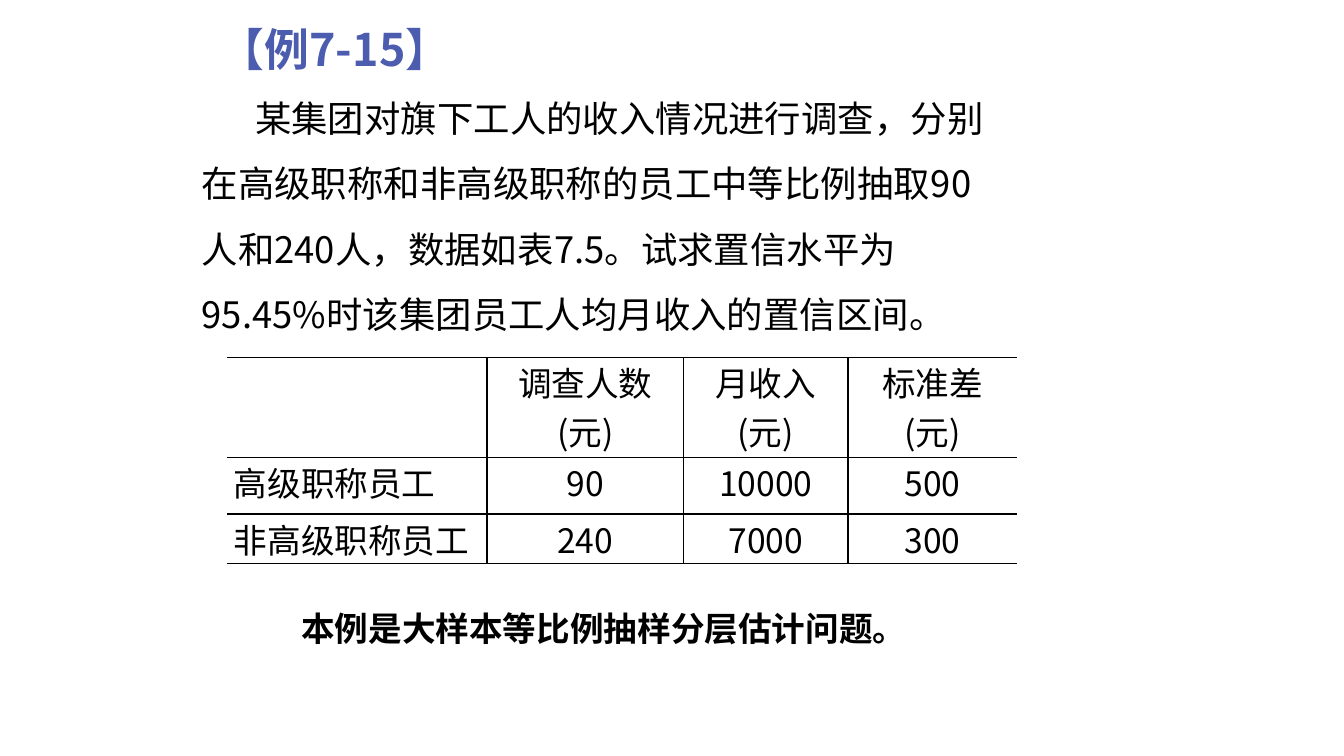
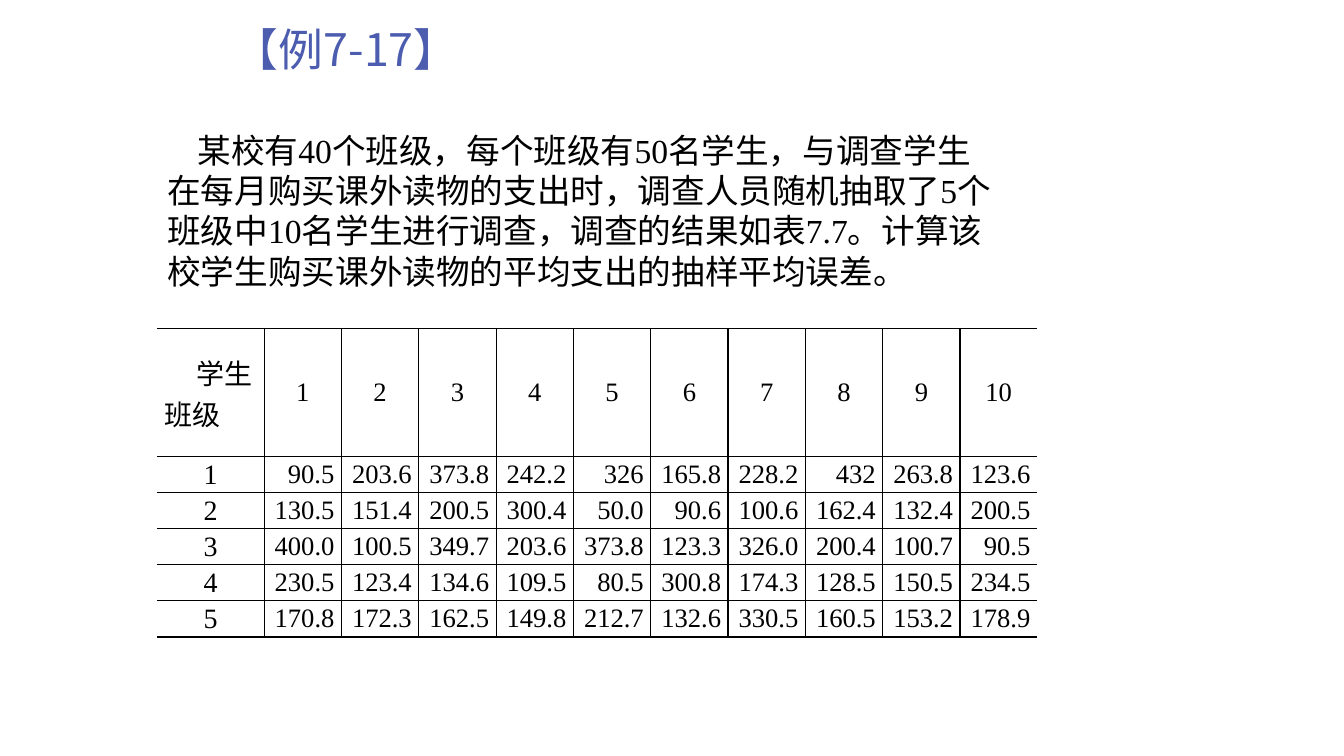
from dataclasses import dataclass

from lxml.etree import SubElement
from pptx import Presentation
from pptx.dml.color import RGBColor
from pptx.enum.text import MSO_ANCHOR as Anchor
from pptx.enum.text import MSO_AUTO_SIZE as AutoSize
from pptx.enum.text import PP_ALIGN as Align
from pptx.oxml.ns import qn
from pptx.util import Inches, Pt

SLIDE_WIDTH, SLIDE_HEIGHT = Inches(13.33), Inches(7.5)
UNIT = Inches(0.1)  # one column or row of the layout grid
SANS, SERIF = "Noto Sans CJK SC", "Times New Roman"
INK, ACCENT = "000000", "4C5CAF"
TITLE_AND_BODY = 1


@dataclass(frozen=True)
class Box:
    """A place on the layout grid, in columns and rows."""
    left: float
    top: float
    width: float
    height: float


@dataclass(frozen=True)
class Style:
    size: float
    font: str = SANS
    color: str = INK
    bold: bool = False


@dataclass(frozen=True)
class Statement:
    box: Box
    runs: tuple[tuple[str, Style], ...]
    line_points: float
    first_indent: float = 0


@dataclass(frozen=True)
class TableLook:
    box: Box
    columns: tuple[float, ...]
    rows: tuple[float, ...]
    corner: Style
    header: Style
    label: Style
    value: Style
    label_align: Align
    value_align: Align
    anchor: Anchor
    corner_indent: float = 0


@dataclass(frozen=True)
class Example:
    title: str
    title_box: Box
    title_style: Style
    statement: Statement
    table_look: TableLook
    cells: tuple[tuple[str, ...], ...]
    remark: Statement | None = None


def grid(count: float) -> int:
    return round(count * UNIT)


def rgb(color: str) -> RGBColor:
    return RGBColor.from_string(color)


def place(shape, box: Box) -> None:
    shape.left, shape.top = grid(box.left), grid(box.top)
    shape.width, shape.height = grid(box.width), grid(box.height)


def style_run(run, style: Style) -> None:
    font = run.font
    font.size, font.name, font.bold = Pt(style.size), style.font, style.bold
    font.color.rgb = rgb(style.color)
    east_asian = SubElement(run.font._element, qn("a:ea"))
    east_asian.set("typeface", SANS)


def indent_first_line(paragraph, indent: float) -> None:
    properties = paragraph._p.get_or_add_pPr()
    properties.set("marL", "0")
    properties.set("indent", str(grid(indent)))


def add_title(slide, example: Example) -> None:
    title = slide.shapes.title
    place(title, example.title_box)
    frame = title.text_frame
    frame.text = example.title
    frame.auto_size, frame.vertical_anchor = AutoSize.NONE, Anchor.MIDDLE
    frame.margin_left = frame.margin_right = 0
    frame.margin_top = frame.margin_bottom = 0
    paragraph = frame.paragraphs[0]
    paragraph.alignment = Align.LEFT
    style_run(paragraph.runs[0], example.title_style)


def write_statement(shape, statement: Statement, anchor: Anchor) -> None:
    place(shape, statement.box)
    frame = shape.text_frame
    frame.word_wrap, frame.auto_size = True, AutoSize.NONE
    frame.vertical_anchor = anchor
    paragraph = frame.paragraphs[0]
    indent_first_line(paragraph, statement.first_indent)
    SubElement(paragraph._p.get_or_add_pPr(), qn("a:buNone"))
    paragraph.alignment = Align.LEFT
    paragraph.space_before = Pt(0)
    paragraph.line_spacing = Pt(statement.line_points)
    for text, style in statement.runs:
        run = paragraph.add_run()
        run.text = text
        style_run(run, style)


def draw_borders(cell, open_sides: set[str]) -> None:
    """Rule every side of the cell except the open ones."""
    properties = cell._tc.get_or_add_tcPr()
    for side in ("lnL", "lnR", "lnT", "lnB"):
        line = SubElement(properties, qn(f"a:{side}"), w=str(Pt(1)))
        if side in open_sides:
            SubElement(line, qn("a:noFill"))
        else:
            fill = SubElement(line, qn("a:solidFill"))
            SubElement(fill, qn("a:srgbClr"), val=INK)


def cell_format(look: TableLook, row: int, column: int) -> tuple[Style, Align]:
    if row == 0:
        return (look.header, Align.CENTER) if column else (look.corner, Align.LEFT)
    if column == 0:
        return look.label, look.label_align
    return look.value, look.value_align


def add_data_table(slide, look: TableLook, cells: tuple[tuple[str, ...], ...]) -> None:
    box = look.box
    table = slide.shapes.add_table(
        len(look.rows), len(look.columns),
        grid(box.left), grid(box.top), grid(box.width), grid(box.height),
    ).table
    table.first_row = table.horz_banding = False
    for column, width in zip(table.columns, look.columns):
        column.width = grid(width)
    for row, height in zip(table.rows, look.rows):
        row.height = grid(height)
    last_column = len(look.columns) - 1
    for row_index, texts in enumerate(cells):
        for column_index, text in enumerate(texts):
            cell = table.cell(row_index, column_index)
            cell.margin_left = cell.margin_right = grid(0.7)
            cell.margin_top = cell.margin_bottom = 0
            cell.vertical_anchor = look.anchor
            open_sides = {side for side, edge in (("lnL", 0), ("lnR", last_column))
                          if column_index == edge}
            draw_borders(cell, open_sides)
            cell.fill.background()
            style, alignment = cell_format(look, row_index, column_index)
            cell.text_frame.text = text
            for paragraph in cell.text_frame.paragraphs:
                paragraph.alignment = alignment
                for run in paragraph.runs:
                    style_run(run, style)
    if look.corner_indent:
        indent_first_line(table.cell(0, 0).text_frame.paragraphs[0], look.corner_indent)


def add_example(presentation, example: Example) -> None:
    slide = presentation.slides.add_slide(presentation.slide_layouts[TITLE_AND_BODY])
    add_title(slide, example)
    add_data_table(slide, example.table_look, example.cells)
    write_statement(slide.placeholders[1], example.statement, Anchor.MIDDLE)
    if example.remark:
        remark_box = slide.shapes.add_textbox(0, 0, UNIT, UNIT)
        write_statement(remark_box, example.remark, Anchor.TOP)


SANS_24, SERIF_24 = Style(24), Style(24, SERIF)
SERIF_20, SERIF_19 = Style(20, SERIF), Style(19, SERIF)

INCOME_EXAMPLE = Example(
    title="【例7-15】",
    title_box=Box(21.8, 1.5, 95.9, 6.7),
    title_style=Style(32, color=ACCENT, bold=True),
    statement=Statement(
        Box(19, 6.7, 81.8, 27.3),
        (("某集团对旗下工人的收入情况进行调查，分别在高级职称和非高级职称的员工中"
          "等比例抽取90人和240人，数据如表7.5。试求置信水平为95.45%时该集团员工"
          "人均月收入的置信区间。", Style(26)),),
        line_points=46.6, first_indent=5.3),
    table_look=TableLook(
        Box(22.5, 35.5, 78.4, 20.4),
        columns=(25.8, 19.5, 16.3, 16.8), rows=(9.9, 5.6, 4.9),
        corner=SANS_24, header=SANS_24, label=SANS_24, value=SANS_24,
        label_align=Align.JUSTIFY, value_align=Align.CENTER, anchor=Anchor.TOP),
    cells=(
        ("", "调查人数\n(元)", "月收入\n(元)", "标准差\n(元)"),
        ("高级职称员工", "90", "10000", "500"),
        ("非高级职称员工", "240", "7000", "300"),
    ),
    remark=Statement(
        Box(28.9, 59.8, 66.2, 5),
        (("本例是大样本等比例抽样分层估计问题。", Style(24, SERIF, bold=True)),),
        line_points=28.6),
)

READING_EXAMPLE = Example(
    title="【例7-17】",
    title_box=Box(23.2, 1.5, 54.8, 6.7),
    title_style=Style(32, color=ACCENT),
    statement=Statement(
        Box(15.6, 12.3, 84.5, 17.2),
        (("某校有40个班级，每个班级有50名学生，与调查学生在每月购买课外读物的支出时，"
          "调查人员随机抽取了5个班级中10名学生进行调查，调查的结果如表7.7。", SERIF_24),
         ("计算该校学生购买课外读物的平均支出的抽样平均误差。", SANS_24)),
        line_points=28.6, first_indent=3),
    table_look=TableLook(
        Box(15.6, 32.6, 87.3, 30.6),
        columns=(10.6,) + (7.67,) * 10, rows=(12.7,) + (3.58,) * 5,
        corner=SERIF_20, header=SERIF_19, label=SERIF_20, value=SERIF_19,
        label_align=Align.CENTER, value_align=Align.RIGHT, anchor=Anchor.MIDDLE,
        corner_indent=3.2),
    cells=(
        ("学生\n班级", *(str(student) for student in range(1, 11))),
        ("1", "90.5", "203.6", "373.8", "242.2", "326",
         "165.8", "228.2", "432", "263.8", "123.6"),
        ("2", "130.5", "151.4", "200.5", "300.4", "50.0",
         "90.6", "100.6", "162.4", "132.4", "200.5"),
        ("3", "400.0", "100.5", "349.7", "203.6", "373.8",
         "123.3", "326.0", "200.4", "100.7", "90.5"),
        ("4", "230.5", "123.4", "134.6", "109.5", "80.5",
         "300.8", "174.3", "128.5", "150.5", "234.5"),
        ("5", "170.8", "172.3", "162.5", "149.8", "212.7",
         "132.6", "330.5", "160.5", "153.2", "178.9"),
    ),
)


def main() -> None:
    presentation = Presentation()
    presentation.slide_width, presentation.slide_height = SLIDE_WIDTH, SLIDE_HEIGHT
    for example in (INCOME_EXAMPLE, READING_EXAMPLE):
        add_example(presentation, example)
    presentation.save("out.pptx")


if __name__ == "__main__":
    main()
